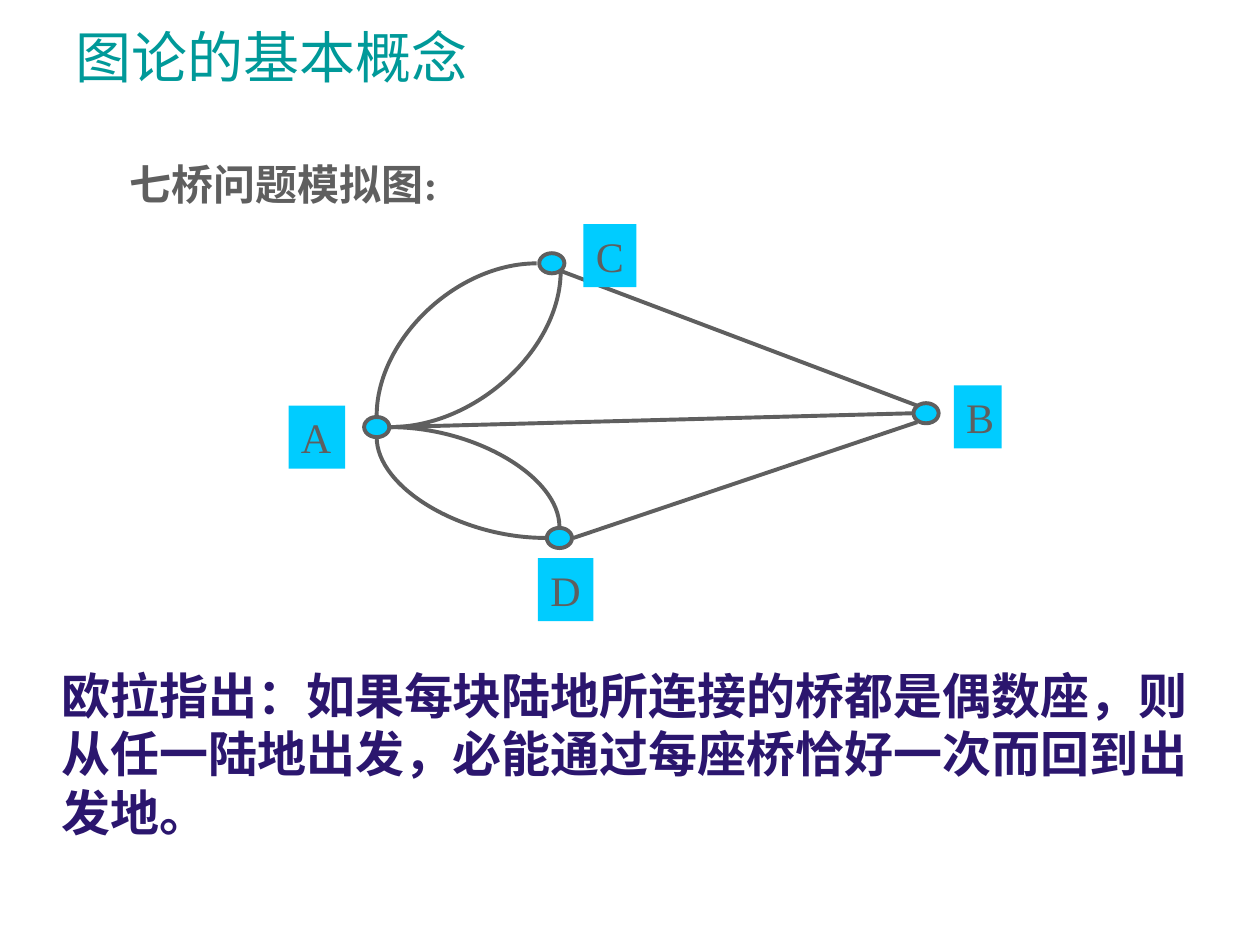
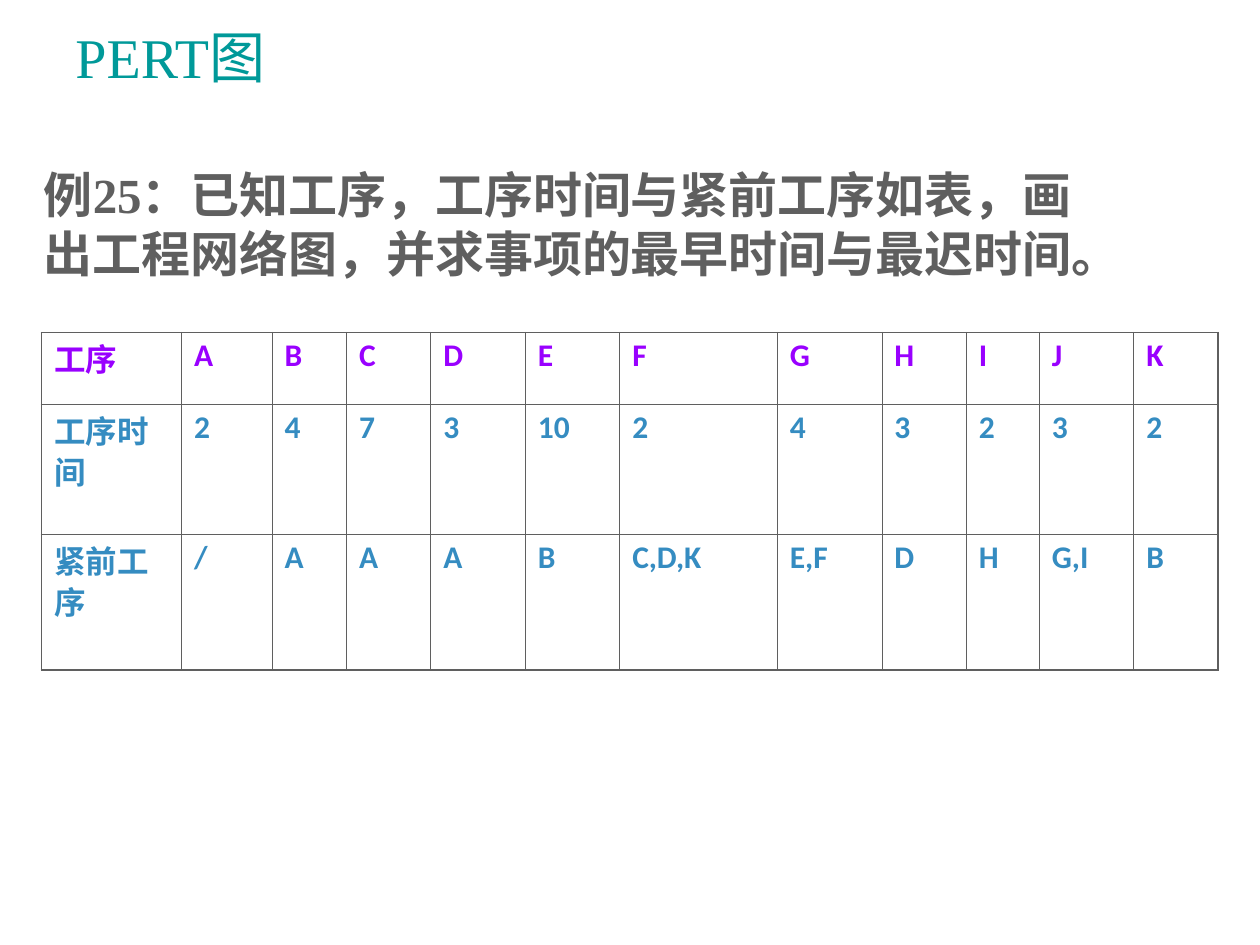
from typing import NamedTuple

from lxml import etree
from pptx import Presentation
from pptx.dml.color import RGBColor
from pptx.enum import shapes, text
from pptx.oxml import ns
from pptx.util import Inches, Pt

TEAL = RGBColor(0x00, 0x99, 0x99)
GRAY = RGBColor(0x5F, 0x5F, 0x5F)
CYAN = RGBColor(0x00, 0xCC, 0xFF)
INDIGO = RGBColor(0x2B, 0x16, 0x6E)
PURPLE = RGBColor(0x99, 0x00, 0xFF)
BLUE = RGBColor(0x35, 0x8C, 0xC1)
WHITE = RGBColor(0xFF, 0xFF, 0xFF)

SERIF, SANS, TITLE_SANS = "Times New Roman", "Calibri", "Lato"
NODE_W, NODE_H = 0.2, 0.16
THIN, THICK = 0.45, 1.08


class Land(NamedTuple):
    name: str
    left: float
    top: float
    label_left: float
    label_top: float
    label_width: float


class Bridge(NamedTuple):
    """A curved bridge leaves its start horizontally and enters its end vertically."""
    x1: float
    y1: float
    x2: float
    y2: float
    curved: bool = False


LANDS = [
    Land("A", 2.89, 3.31, 2.29, 3.22, 0.45),
    Land("B", 7.25, 3.2, 7.57, 3.06, 0.38),
    Land("D", 4.34, 4.19, 4.27, 4.43, 0.44),
    Land("C", 4.28, 2.01, 4.63, 1.78, 0.42),
]
BRIDGES = [
    Bridge(4.26, 2.09, 2.99, 3.3, curved=True),
    Bridge(3.1, 3.39, 4.45, 2.15, curved=True),
    Bridge(3.1, 3.39, 4.44, 4.18, curved=True),
    Bridge(4.33, 4.27, 2.99, 3.47, curved=True),
    Bridge(4.45, 2.15, 7.28, 3.22),
    Bridge(4.55, 4.27, 7.28, 3.35),
    Bridge(3.1, 3.39, 7.24, 3.28),
]

COLUMN_WIDTHS = [1.11, 0.72, 0.59, 0.67, 0.75, 0.75, 1.25, 0.83, 0.67, 0.58, 0.75, 0.67]
ROW_HEIGHTS = [0.57, 1.03, 1.08]
TASKS = [
    ["工序", "A", "B", "C", "D", "E", "F", "G", "H", "I", "J", "K"],
    ["工序时间", "2", "4", "7", "3", "10", "2", "4", "3", "2", "3", "2"],
    ["紧前工序", "/", "A", "A", "A", "B", "C,D,K", "E,F", "D", "H", "G,I", "B"],
]


def write(tf, content: str, *, size: float, color: RGBColor, font: str = SERIF,
          bold: bool = False, spacing: float = 1.0) -> None:
    for i, line in enumerate(content.split("\n")):
        p = tf.paragraphs[0] if i == 0 else tf.add_paragraph()
        p.line_spacing = spacing
        r = p.add_run()
        r.text = line
        r.font.size, r.font.name, r.font.bold = Pt(size), font, bold
        r.font.color.rgb = color


def add_text(s, content: str, left: float, top: float, width: float, height: float, *,
             fill: RGBColor | None = None, wrap: bool = True,
             anchor=text.MSO_ANCHOR.TOP, **style) -> None:
    sp = s.shapes.add_textbox(Inches(left), Inches(top), Inches(width), Inches(height))
    if fill is not None:
        sp.fill.solid()
        sp.fill.fore_color.rgb = fill
    tf = sp.text_frame
    tf.word_wrap = wrap
    tf.vertical_anchor = anchor
    write(tf, content, **style)


def add_title(s, content: str, font: str) -> None:
    add_text(s, content, 0.5, 0.17, 9.08, 0.62, anchor=text.MSO_ANCHOR.MIDDLE,
             size=32, color=TEAL, font=font, spacing=0.9)


def style_line(line) -> None:
    line.color.rgb = GRAY
    line.width = Pt(2.25)


def add_bridge(s, b: Bridge) -> None:
    kind = shapes.MSO_CONNECTOR.CURVE if b.curved else shapes.MSO_CONNECTOR.STRAIGHT
    cxn = s.shapes.add_connector(kind, Inches(b.x1), Inches(b.y1), Inches(b.x2), Inches(b.y2))
    style_line(cxn.line)
    sp_pr = cxn._element.spPr
    if b.curved:
        sp_pr.find(ns.qn("a:prstGeom")).set("prst", "curvedConnector2")
    etree.SubElement(sp_pr, ns.qn("a:effectLst"))


def add_node(s, land: Land) -> None:
    sp = s.shapes.add_shape(shapes.MSO_SHAPE.OVAL, Inches(land.left), Inches(land.top),
                            Inches(NODE_W), Inches(NODE_H))
    sp.shadow.inherit = False
    sp.fill.solid()
    sp.fill.fore_color.rgb = CYAN
    style_line(sp.line)


def set_borders(cell, **widths: float) -> None:
    """Draw the cell's sides, given as L, R, T and B in points."""
    tc_pr = cell._tc.get_or_add_tcPr()
    for side, width in widths.items():
        ln = etree.SubElement(tc_pr, ns.qn(f"a:ln{side}"), w=str(Pt(width)))
        fill = etree.SubElement(ln, ns.qn("a:solidFill"))
        etree.SubElement(fill, ns.qn("a:srgbClr"), val=str(GRAY))


def add_task_table(s) -> None:
    n_rows, n_cols = len(ROW_HEIGHTS), len(COLUMN_WIDTHS)
    table = s.shapes.add_table(n_rows, n_cols, Inches(0.33), Inches(2.64),
                               Inches(sum(COLUMN_WIDTHS)), Inches(sum(ROW_HEIGHTS))).table
    table.first_row = table.horz_banding = False
    for column, width in zip(table.columns, COLUMN_WIDTHS):
        column.width = Inches(width)
    for row, height in zip(table.rows, ROW_HEIGHTS):
        row.height = Inches(height)
    for i, values in enumerate(TASKS):
        for j, value in enumerate(values):
            cell = table.cell(i, j)
            set_borders(cell,
                        L=THICK if j == 0 else THIN,
                        R=THICK if j == n_cols - 1 else THIN,
                        T=THICK if i == 0 else THIN,
                        B=THICK if i == n_rows - 1 else THIN)
            cell.fill.background()
            write(cell.text_frame, value, size=18, color=PURPLE if i == 0 else BLUE,
                  font=SANS, bold=True, spacing=0.9)


def build_bridges_slide(s) -> None:
    add_text(s, "七桥问题模拟图:", 0.93, 1.21, 2.72, 0.5, wrap=False,
             size=24, color=GRAY, bold=True)
    for land in LANDS:
        add_node(s, land)
    for bridge in BRIDGES:
        add_bridge(s, bridge)
    for land in LANDS:
        add_text(s, land.name, land.label_left, land.label_top, land.label_width, 0.5,
                 fill=CYAN, size=24, color=GRAY)
    add_text(s, "欧拉指出：如果每块陆地所连接的桥都是偶数座，则从任一陆地出发，"
                "必能通过每座桥恰好一次而回到出发地。",
             0.39, 5.23, 9.38, 1.5, fill=WHITE, size=28, color=INDIGO, bold=True)
    add_title(s, "图论的基本概念", TITLE_SANS)


def build_pert_slide(s) -> None:
    add_text(s, "例25：已知工序，工序时间与紧前工序如表，画\n"
                "出工程网络图，并求事项的最早时间与最迟时间。",
             0.25, 1.26, 10.16, 1.04, size=28, color=GRAY, bold=True)
    add_task_table(s)
    add_title(s, "PERT图", SERIF)


def main() -> None:
    prs = Presentation()
    prs.slide_width, prs.slide_height = Inches(10), Inches(7.5)
    for build in (build_bridges_slide, build_pert_slide):
        build(prs.slides.add_slide(prs.slide_layouts[6]))
    prs.save("out.pptx")


if __name__ == "__main__":
    main()
